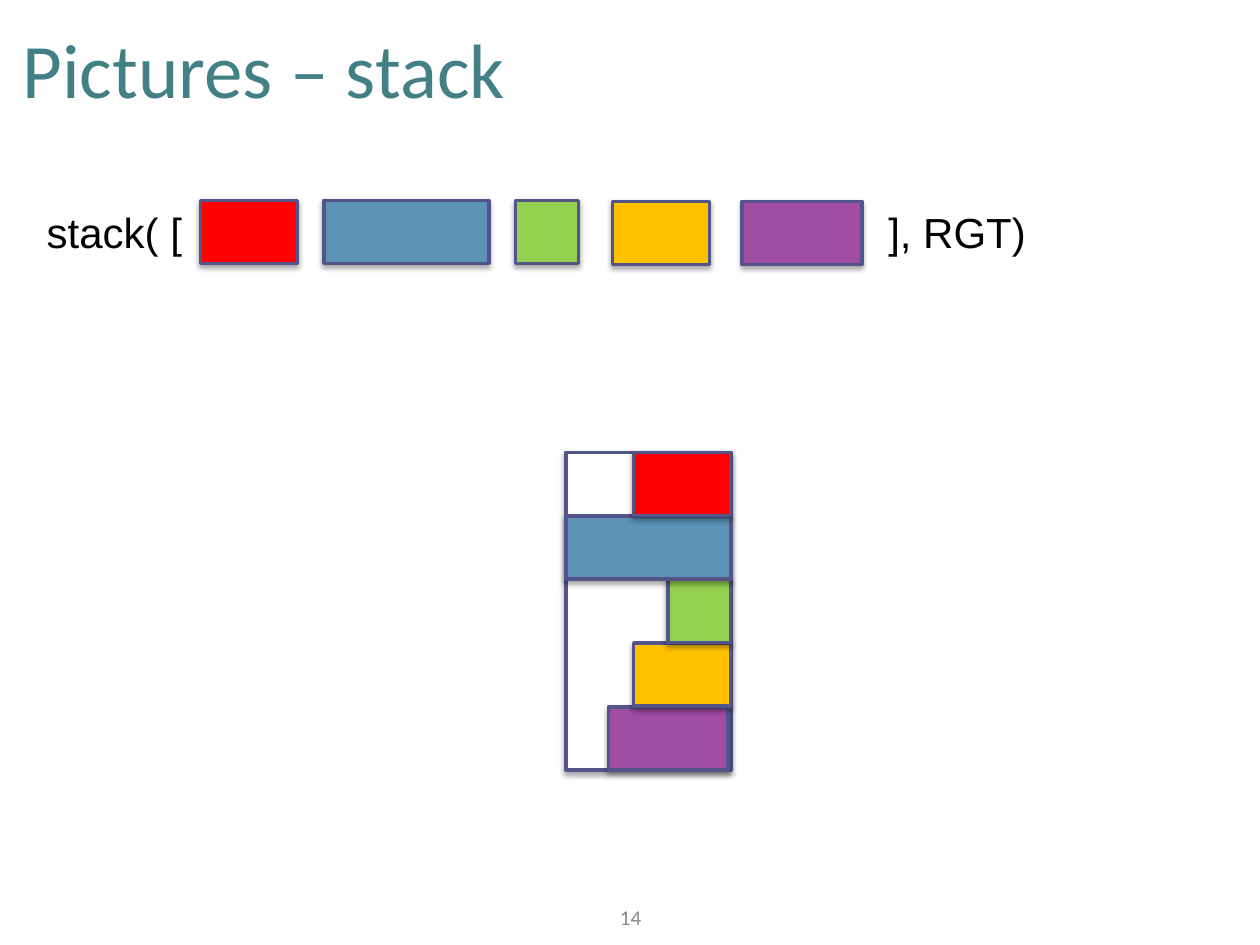
from lxml.etree import SubElement
from pptx import Presentation
from pptx.dml.color import RGBColor
from pptx.enum.shapes import MSO_SHAPE
from pptx.enum.text import MSO_ANCHOR, PP_ALIGN
from pptx.oxml.ns import qn
from pptx.util import Inches, Pt

BLOCK_HEIGHT = 0.5
FRAME_LEFT, FRAME_TOP = 4.49, 3.59
FRAME_WIDTH, FRAME_HEIGHT = 1.31, 2.52

prs = Presentation()
prs.slide_width, prs.slide_height = Inches(10), Inches(7.5)
slide = prs.slides.add_slide(prs.slide_layouts[6])


def add_block(left, top, width, height, color):
    """Add an outlined rectangle with a soft shadow below it."""
    block = slide.shapes.add_shape(
        MSO_SHAPE.RECTANGLE, Inches(left), Inches(top), Inches(width), Inches(height))
    block.fill.solid()
    block.fill.fore_color.rgb = RGBColor.from_string(color)
    block.line.color.rgb = RGBColor.from_string("53548A")
    block.line.width = Pt(2)
    block.shadow.inherit = False
    effects = block.element.spPr.find(qn("a:effectLst"))
    shadow = SubElement(effects, qn("a:outerShdw"), blurRad=str(Pt(3)),
                        dist=str(Pt(1.8)), dir="5400000", rotWithShape="0")
    black = SubElement(shadow, qn("a:srgbClr"), val="000000")
    SubElement(black, qn("a:alpha"), val="35000")


def add_label(text, box, size, font, color, anchor=MSO_ANCHOR.TOP, align=PP_ALIGN.LEFT, wrap=True):
    """Add one line of text in a box given as left, top, width, height."""
    frame = slide.shapes.add_textbox(*map(Inches, box)).text_frame
    frame.word_wrap = wrap
    frame.vertical_anchor = anchor
    frame.margin_left = frame.margin_right = Inches(0.05)
    frame.margin_top = frame.margin_bottom = Inches(0.05)
    frame.text = text
    paragraph = frame.paragraphs[0]
    paragraph.alignment = align
    run_font = paragraph.runs[0].font
    run_font.size = Pt(size)
    run_font.name = font
    run_font.color.rgb = RGBColor.from_string(color)


# Color, width, left and top in the row, right edge in the stack
blocks = [
    ("FF0000", 0.77, 1.59, 1.59, 5.8),
    ("5C92B5", 1.31, 2.57, 1.59, 5.8),
    ("92D050", 0.5, 4.09, 1.59, 5.8),
    ("FFC000", 0.77, 4.86, 1.6, 5.8),
    ("A04DA3", 0.95, 5.89, 1.6, 5.78),
]

add_block(FRAME_LEFT, FRAME_TOP, FRAME_WIDTH, FRAME_HEIGHT, "FFFFFF")
add_label("Pictures – stack", (0.13, 0.1, 9.74, 0.87), 44, "Calibri", "438086",
          anchor=MSO_ANCHOR.MIDDLE)
add_label("14", (4.86, 7.13, 0.29, 0.29), 12, "Calibri", "888888",
          anchor=MSO_ANCHOR.MIDDLE, align=PP_ALIGN.CENTER, wrap=False)

# The list of arguments
for color, width, left, top, _ in blocks:
    add_block(left, top, width, BLOCK_HEIGHT, color)
for text, left in (("stack( [", 0.32), ("], RGT)", 7)):
    add_label(text, (left, 1.59, 1.38, 0.5), 24, "Arial", "000000")

# The right-aligned result, built from the bottom up
step = (FRAME_HEIGHT - BLOCK_HEIGHT) / (len(blocks) - 1)
for index, (color, width, _, _, right) in reversed(list(enumerate(blocks))):
    add_block(right - width, FRAME_TOP + index * step, width, BLOCK_HEIGHT, color)

prs.save("out.pptx")
